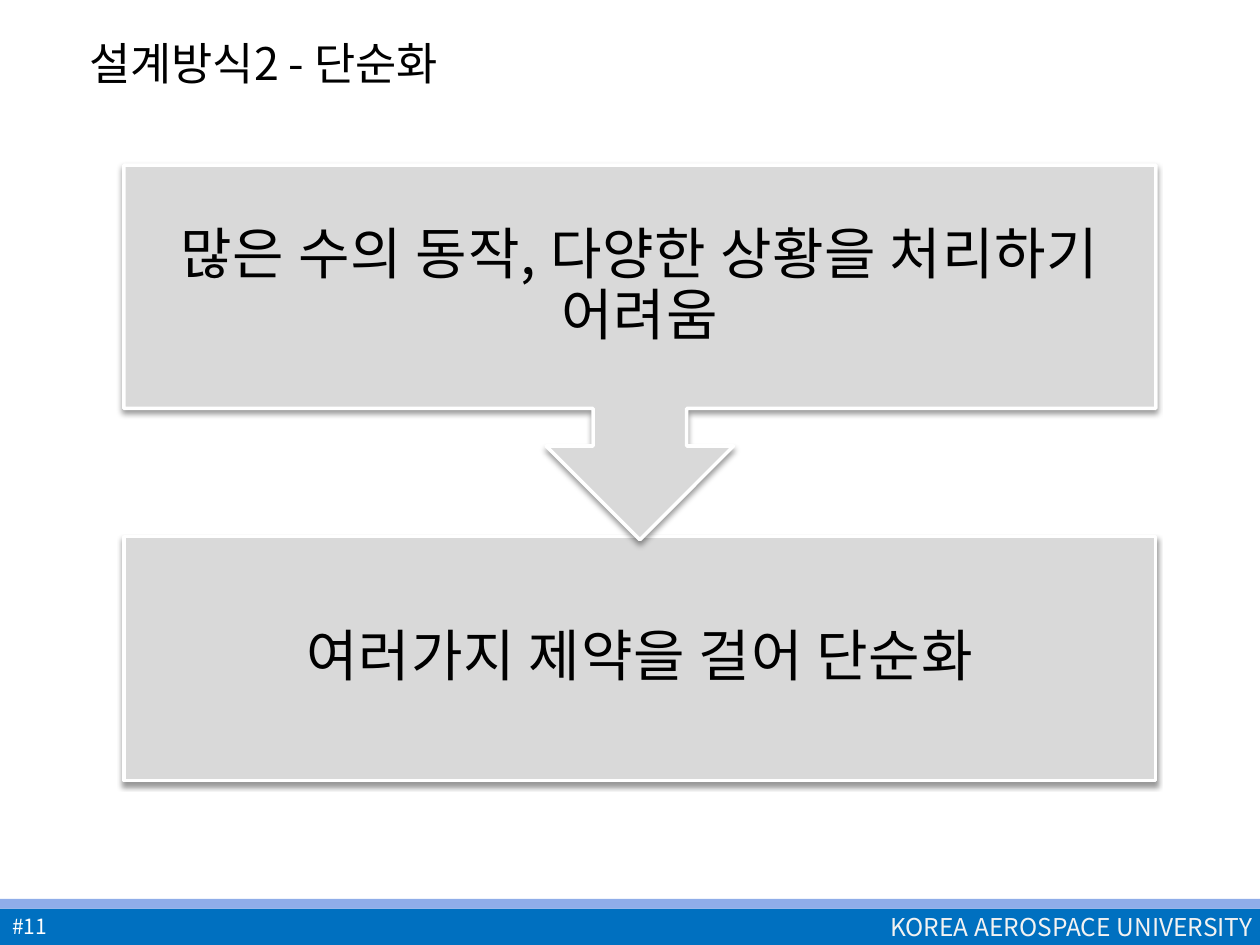
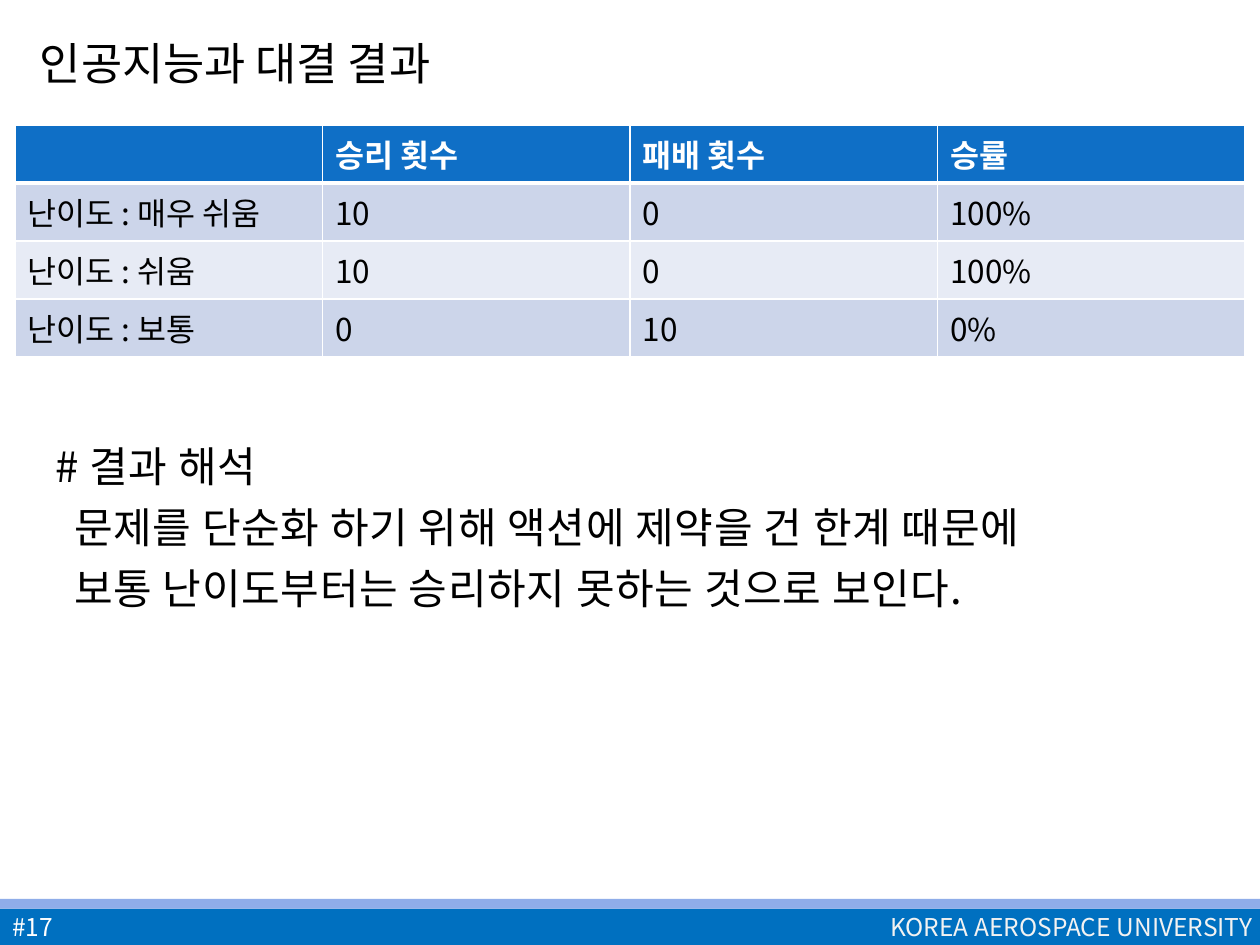
from lxml import etree
from pptx import Presentation
from pptx.dml.color import RGBColor
from pptx.enum.dml import MSO_LINE as Dash
from pptx.enum.shapes import MSO_CONNECTOR as Connector, MSO_SHAPE as Preset
from pptx.enum.text import MSO_ANCHOR as Anchor, MSO_AUTO_SIZE as AutoSize, PP_ALIGN as Align
from pptx.oxml.ns import qn
from pptx.util import Cm, Pt

FONT = "Noto Sans CJK KR"
BLACK, WHITE, PALE = "000000", "FFFFFF", "F2F2F2"
BAND, BAND_EDGE = "0070C0", "8FADE9"
BOX_GREY = "D9D9D9"
HEADER_BLUE, ROW_TINTS = "0F6FC6", ("CCD5EA", "E7EBF5")
WIDTH, HEIGHT = 25.4, 19.05
MARGIN, CONTENT_WIDTH = 0.3, 24.8
WIDE_TRACKING = 0.4


def rgb(hex_colour):
    return RGBColor.from_string(hex_colour)


def add_node(parent, tag, **attributes):
    return etree.SubElement(parent, qn(tag), {k: str(v) for k, v in attributes.items()})


class Deck:
    """Holds the shared style and the slide being built."""

    def __init__(self):
        self.prs = Presentation()
        self.prs.slide_width, self.prs.slide_height = Cm(WIDTH), Cm(HEIGHT)
        self.slide = None

    def start(self, layout, title, indent, number, number_size):
        self.slide = self.prs.slides.add_slide(self.prs.slide_layouts[layout])
        self.title_rule()
        self.band(18.32, HEIGHT - 18.32, BAND)
        self.band(18.12, 0.2, BAND_EDGE)
        self.label("KOREA AEROSPACE UNIVERSITY", (17.7, 18.26, 8.03, 0.86), 14, PALE)
        self.label(number, (0, 18.31, 5.51, 0.74), number_size, WHITE)
        self.title(title, indent)

    def run(self, paragraph, text, size, colour=BLACK, bold=False, tracking=0):
        run = paragraph.add_run()
        run.text = text
        font = run.font
        font.size, font.bold, font.name = Pt(size), bold, FONT
        font.color.rgb = rgb(colour)
        properties = run._r.get_or_add_rPr()
        if tracking:
            properties.set("spc", str(round(tracking * 100)))
        add_node(properties, "a:ea", typeface=FONT)
        return run

    def place(self, shape, left, top, width, height):
        shape.left, shape.top = Cm(left), Cm(top)
        shape.width, shape.height = Cm(width), Cm(height)

    def indent(self, paragraph, left):
        properties = paragraph._p.get_or_add_pPr()
        properties.set("marL", str(Cm(left)))
        properties.set("indent", "0")
        add_node(properties, "a:buNone")

    def shape(self, preset, area, fill):
        shape = self.slide.shapes.add_shape(preset, *map(Cm, area))
        shape.shadow.inherit = False
        shape.fill.solid()
        shape.fill.fore_color.rgb = rgb(fill)
        shape.line.fill.background()
        return shape

    def title_rule(self):
        ends = (MARGIN, 2.34, MARGIN + CONTENT_WIDTH, 2.34)
        rule = self.slide.shapes.add_connector(Connector.STRAIGHT, *map(Cm, ends))
        rule.line.color.rgb = rgb(WHITE)
        rule.line.width = Pt(0.75)
        rule.line.dash_style = Dash.DASH
        add_node(rule._element.spPr, "a:effectLst")

    def band(self, top, height, fill):
        self.shape(Preset.RECTANGLE, (0, top, WIDTH, height), fill)

    def label(self, text, area, size, colour):
        frame = self.slide.shapes.add_textbox(*map(Cm, area)).text_frame
        frame.word_wrap = True
        frame.vertical_anchor = Anchor.MIDDLE
        self.run(frame.paragraphs[0], text, size, colour)

    def title(self, text, indent):
        title = self.slide.shapes.title
        self.place(title, MARGIN, 0.23, CONTENT_WIDTH, 1.9)
        frame = title.text_frame
        frame.auto_size = AutoSize.NONE
        frame.vertical_anchor = Anchor.MIDDLE
        paragraph = frame.paragraphs[0]
        self.indent(paragraph, indent)
        paragraph.alignment = Align.LEFT
        run = self.run(paragraph, text, 32)
        run._r.get_or_add_rPr().set("cap", "small")

    def body(self, lines, top, height):
        """Fill the body placeholder with (indent, text) lines."""
        body = self.slide.placeholders[1]
        self.place(body, MARGIN, top, CONTENT_WIDTH, height)
        frame = body.text_frame
        frame.auto_size = AutoSize.NONE
        for i, (indent, text) in enumerate(lines):
            paragraph = frame.add_paragraph() if i else frame.paragraphs[0]
            self.indent(paragraph, indent)
            paragraph.space_before = Pt(6 if i else 0)
            self.run(paragraph, text, 24, tracking=WIDE_TRACKING)

    def step(self, preset, text, top, height):
        """Add a grey process box with a white edge and a soft shadow."""
        box = self.shape(preset, (2.5, top, 20.8, height), BOX_GREY)
        box.line.color.rgb = rgb(WHITE)
        box.line.width = Pt(2)
        effects = box._element.spPr.find(qn("a:effectLst"))
        shadow = add_node(effects, "a:outerShdw", blurRad=Pt(3), dist=Pt(2),
                          dir=90 * 60000, rotWithShape=0)
        add_node(add_node(shadow, "a:srgbClr", val=BLACK), "a:alpha", val=40000)
        frame = box.text_frame
        frame.word_wrap = True
        frame.vertical_anchor = Anchor.MIDDLE
        frame.margin_left = frame.margin_right = Cm(0.63)
        frame.margin_top = frame.margin_bottom = Cm(0.63)
        paragraph = frame.paragraphs[0]
        paragraph.alignment = Align.CENTER
        paragraph.line_spacing = 0.9
        self.run(paragraph, text, 32, tracking=WIDE_TRACKING)

    def cell_borders(self, cell, top, bottom):
        properties = cell._tc.get_or_add_tcPr()
        for side, width in (("L", 1), ("R", 1), ("T", top), ("B", bottom)):
            line = add_node(properties, f"a:ln{side}", w=Pt(width))
            add_node(add_node(line, "a:solidFill"), "a:srgbClr", val=WHITE)

    def table(self, rows, top, row_height):
        area = (MARGIN, top, CONTENT_WIDTH, row_height * len(rows))
        table = self.slide.shapes.add_table(len(rows), len(rows[0]), *map(Cm, area)).table
        for r, row in enumerate(rows):
            header = r == 0
            for c, text in enumerate(row):
                cell = table.cell(r, c)
                self.cell_borders(cell, 3 if r == 1 else 1, 3 if header else 1)
                cell.fill.solid()
                cell.fill.fore_color.rgb = rgb(HEADER_BLUE if header else ROW_TINTS[(r - 1) % 2])
                if text:
                    self.run(cell.text_frame.paragraphs[0], text, 18,
                             WHITE if header else BLACK, header)


def main():
    deck = Deck()

    deck.start(5, "설계방식2 - 단순화", 1.25, "#11", 12)
    deck.step(Preset.RECTANGLE, "여러가지 제약을 걸어 단순화", 10.82, 4.92)
    deck.step(Preset.DOWN_ARROW_CALLOUT, "많은 수의 동작, 다양한 상황을 처리하기 어려움", 3.33, 7.55)

    deck.start(1, "인공지능과 대결 결과", 0.25, "#17", 14)
    deck.table([
        ("", "승리 횟수", "패배 횟수", "승률"),
        ("난이도 : 매우 쉬움", "10", "0", "100%"),
        ("난이도 : 쉬움", "10", "0", "100%"),
        ("난이도 : 보통", "0", "10", "0%"),
    ], 2.52, 1.17)
    deck.body([
        (0.56, "# 결과 해석"),
        (0.94, "문제를 단순화 하기 위해 액션에 제약을 건 한계 때문에"),
        (0.94, "보통 난이도부터는 승리하지 못하는 것으로 보인다."),
    ], 8.76, 9.22)

    deck.prs.save("out.pptx")


if __name__ == "__main__":
    main()
